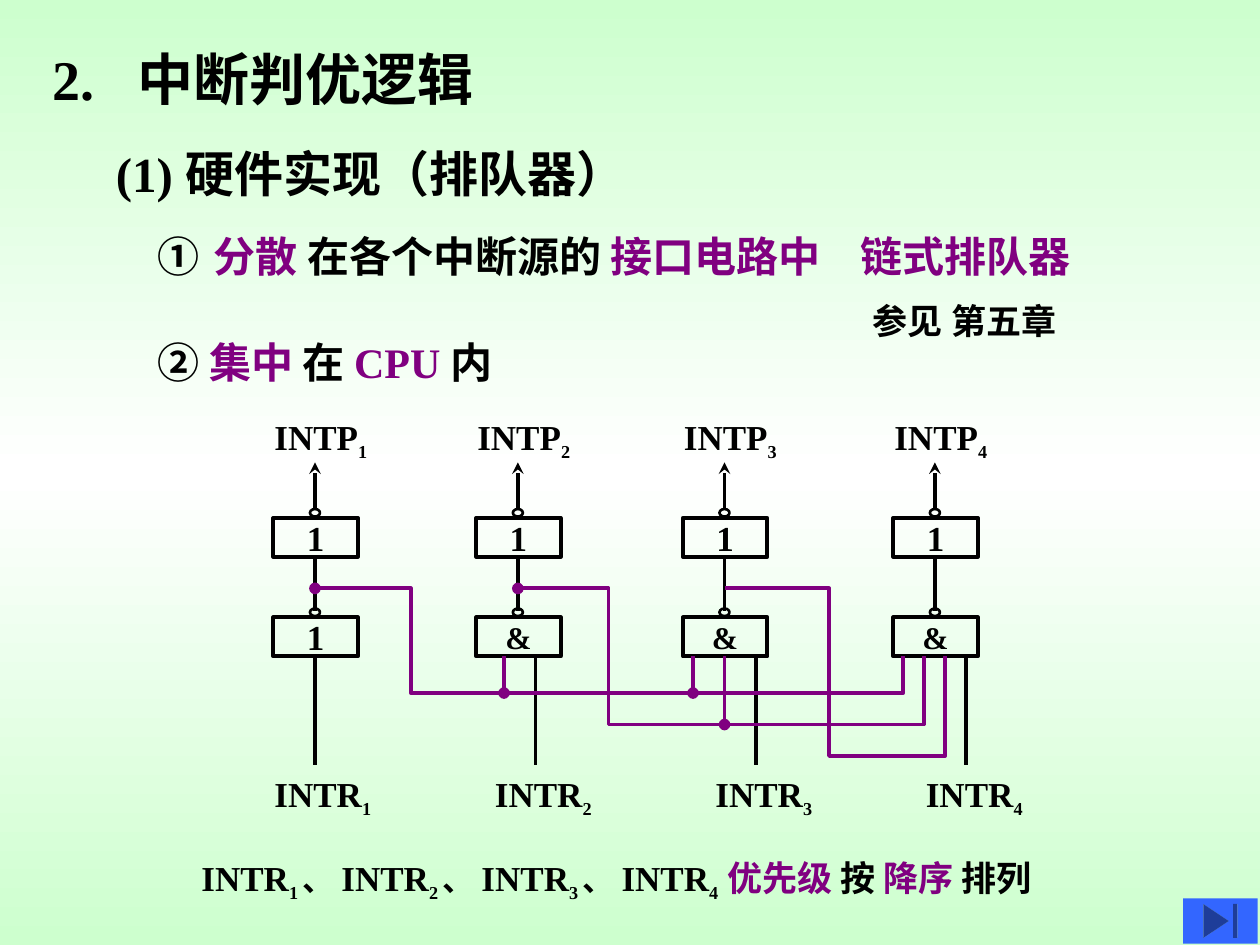
from copy import deepcopy
from dataclasses import dataclass

from lxml.etree import SubElement
from pptx import Presentation
from pptx.dml.color import RGBColor
from pptx.enum.shapes import MSO_CONNECTOR, MSO_SHAPE
from pptx.enum.text import MSO_ANCHOR, PP_ALIGN
from pptx.oxml.ns import qn
from pptx.slide import Slide
from pptx.util import Inches, Pt

BLACK, PURPLE = "000000", "800080"


def tint(target, color):
    target.rgb = RGBColor.from_string(color)


def write(para, text, size=20, color=BLACK, sub=False):
    run = para.add_run()
    run.text = text
    font = run.font
    font.name, font.size, font.bold = "Times New Roman", Pt(size), True
    tint(font.color, color)
    if sub:
        run._r.get_or_add_rPr().set("baseline", "-25000")


@dataclass
class Board:
    """Draws styled text, gates and wires on one slide."""

    slide: Slide
    weight: float = 2.25

    def shade(self, edge, mid):
        fill = self.slide.background.fill
        fill.gradient()
        fill.gradient_angle = 270
        stops = next(self.slide.element.iter(qn("a:gsLst")))
        stops.append(deepcopy(stops[-1]))
        for stop, spot, color in zip(fill.gradient_stops, (0, 0.5, 1), (edge, mid, edge)):
            stop.position = spot
            tint(stop.color, color)

    def text(self, x, y, w, h, inset=0.1, middle=False, tab=None):
        box = self.slide.shapes.add_textbox(Inches(x), Inches(y), Inches(w), Inches(h))
        frame = box.text_frame
        frame.word_wrap = True
        frame.margin_left = frame.margin_right = Inches(inset)
        frame.vertical_anchor = MSO_ANCHOR.MIDDLE if middle else MSO_ANCHOR.TOP
        para = frame.paragraphs[0]
        if tab:
            tabs = SubElement(para._p.get_or_add_pPr(), qn("a:tabLst"))
            SubElement(tabs, qn("a:tab"), pos=str(Inches(tab)), algn="l")
        return para

    def line(self, x, y, w, tab=None):
        return self.text(x, y, w, 0.58, inset=0, middle=True, tab=tab)

    def label(self, x, y, w, name, digit):
        para = self.text(x, y, w, 0.47)
        write(para, name)
        write(para, digit, size=18, sub=True)

    def shape(self, kind, x, y, w, h, weight=None):
        item = self.slide.shapes.add_shape(kind, Inches(x), Inches(y), Inches(w), Inches(h))
        item.shadow.inherit = False
        item.fill.background()
        item.line.width = Pt(weight or self.weight)
        tint(item.line.color, BLACK)
        return item

    def gate(self, mid, y, sign, size):
        frame = self.shape(MSO_SHAPE.RECTANGLE, mid - 0.33, y, 0.67, 0.31).text_frame
        frame.margin_left = frame.margin_right = frame.margin_top = frame.margin_bottom = 0
        frame.vertical_anchor = MSO_ANCHOR.MIDDLE
        frame.paragraphs[0].alignment = PP_ALIGN.CENTER
        write(frame.paragraphs[0], sign, size=size)
        self.shape(MSO_SHAPE.OVAL, mid - 0.04, y - 0.07, 0.08, 0.06, weight=1.5)

    def wire(self, *dots, color=BLACK, head=None, tail=None):
        dots = [(Inches(x), Inches(y)) for x, y in dots]
        shapes = self.slide.shapes
        if len(dots) == 2:
            item = shapes.add_connector(MSO_CONNECTOR.STRAIGHT, *dots[0], *dots[1])
        else:
            path = shapes.build_freeform(*dots[0])
            path.add_line_segments(dots[1:], close=False)
            item = path.convert_to_shape()
            item.fill.background()
        item.line.width = Pt(self.weight)
        tint(item.line.color, color)
        props = item.element.spPr
        for tag, end in (("a:headEnd", head), ("a:tailEnd", tail)):
            if end:
                SubElement(props.find(qn("a:ln")), qn(tag), type=end)
        SubElement(props, qn("a:effectLst"))

    def button(self, x, y, w, h, color):
        item = self.shape(MSO_SHAPE.ACTION_BUTTON_END, x, y, w, h)
        item.fill.solid()
        tint(item.fill.fore_color, color)
        item.line.fill.background()


def heads(board):
    write(board.line(0.42, 0.33, 4.25, tab=0.67), "2.\t中断判优逻辑", size=32)
    write(board.line(0.92, 1.08, 5.75), "(1) 硬件实现（排队器）", size=28)
    para = board.line(1.25, 1.67, 8.25, tab=5.58)
    write(para, "①", size=24)
    write(para, " ", size=36)
    write(para, "分散 ", size=24, color=PURPLE)
    write(para, "在各个中断源的 ", size=24)
    write(para, "接口电路中\t链式排队器", size=24, color=PURPLE)
    para = board.line(1.25, 2.58, 5.75)
    for part, color in (("② ", BLACK), ("集中 ", PURPLE), ("在 ", BLACK),
                        ("CPU ", PURPLE), ("内", BLACK)):
        write(para, part, size=24, color=color)
    write(board.text(6.83, 2.33, 2.58, 0.44), "参见 第五章")


def gates(board):
    cols = ((2.5, 2.5, "1", 20), (4.11, 4.25, "&", 18),
            (5.75, 6, "&", 18), (7.42, 7.67, "&", 18))
    for digit, (mid, feed, sign, size) in enumerate(cols, 1):
        board.gate(mid, 4.11, "1", 20)
        board.gate(mid, 4.9, sign, size)
        board.wire((mid, 4.05), (mid, 3.67), tail="stealth")
        board.wire((mid, 4.41), (mid, 4.85))
        board.wire((feed, 5.21), (feed, 6.07))
        board.label(mid - 0.42, 3.25, 1.17, "INTP", str(digit))
        board.label(feed - 0.42, 6.08, 1.67, "INTR", str(digit))


def chain(board):
    for start, turn, low, end, head in ((2.5, 3.26, 5.5, 7.17, "oval"),
                                        (4.11, 4.83, 5.75, 7.33, "oval"),
                                        (5.75, 6.58, 6, 7.5, None)):
        board.wire((start, 4.67), (turn, 4.67), (turn, low), (end, low), (end, 5.21),
                   color=PURPLE, head=head)
    for x, low in ((4, 5.5), (5.5, 5.5), (5.75, 5.75)):
        board.wire((x, 5.21), (x, low), color=PURPLE, tail="oval")


def order(board):
    para = board.text(1.5, 6.75, 7.75, 0.5)
    for digit in "1234":
        write(para, "INTR")
        write(para, digit, size=18, sub=True)
        if digit < "4":
            write(para, " ", size=18, sub=True)
            write(para, "、 ", size=18)
    for part, color in ((" 优先级 ", PURPLE), ("按 ", BLACK), ("降序 ", PURPLE), ("排列", BLACK)):
        write(para, part, color=color)


def main():
    deck = Presentation()
    deck.slide_width, deck.slide_height = Inches(10), Inches(7.5)
    board = Board(deck.slides.add_slide(deck.slide_layouts[6]))
    board.shade("CDFFCE", "FFFFFF")
    heads(board)
    gates(board)
    chain(board)
    order(board)
    board.button(9.39, 7.13, 0.59, 0.36, "3366FF")
    deck.save("out.pptx")


if __name__ == "__main__":
    main()
